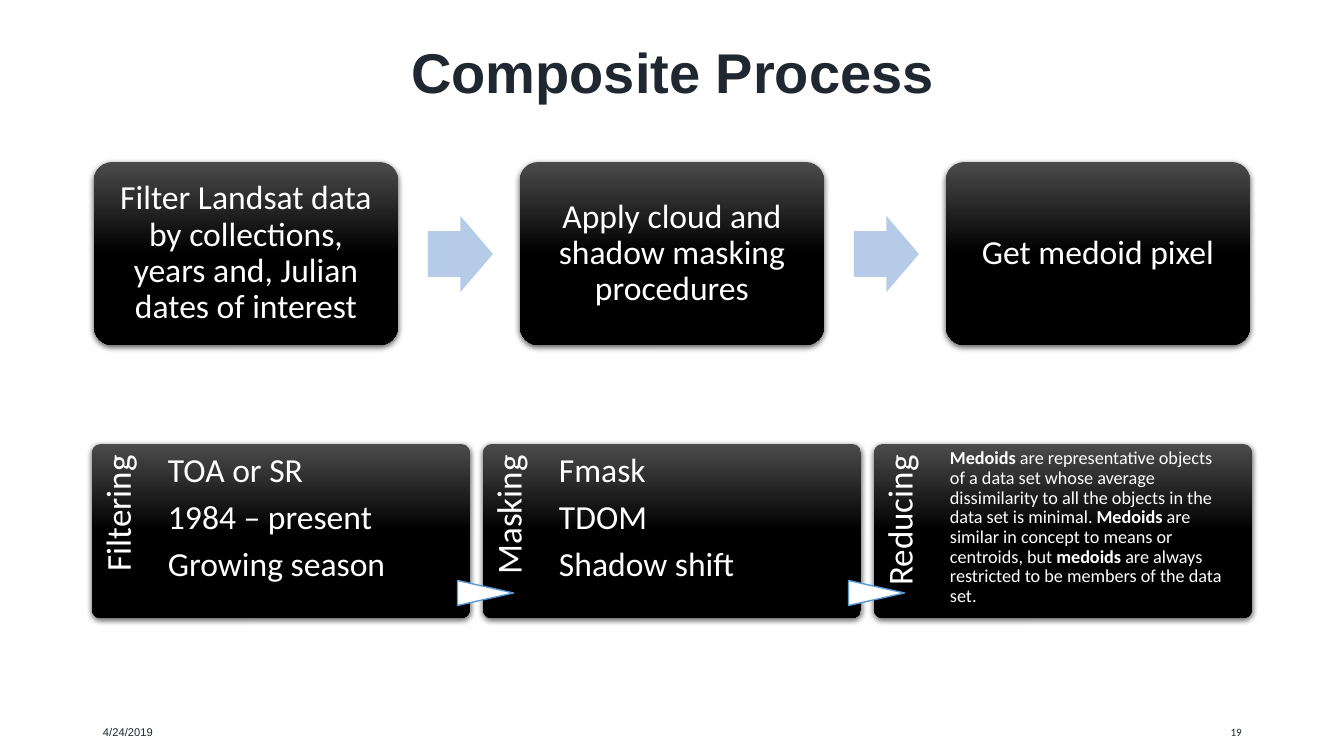
from lxml import etree
from pptx import Presentation
from pptx import util as u
from pptx.dml.color import RGBColor
from pptx.enum import shapes, text
from pptx.oxml.ns import qn

# Content
TITLE = "Composite Process"
DATE, PAGE = "4/24/2019", "19"
STEPS = [
    "Filter Landsat data by collections, years and, Julian dates of interest",
    "Apply cloud and shadow masking procedures",
    "Get medoid pixel",
]
# Each paragraph is a list of (text, bold) runs
MEDOIDS = [
    ("Medoids", True),
    (" are representative objects of a data set whose average dissimilarity "
     "to all the objects in the data set is minimal. ", False),
    ("Medoids", True),
    (" are similar in concept to means or centroids, but ", False),
    ("medoids", True),
    (" are always restricted to be members of the data set.", False),
]
# Label, text size, top inset in px, paragraphs
PANELS = [
    ("Filtering", 24, 9, [[("TOA or SR", False)], [("1984 – present", False)],
                          [("Growing season", False)]]),
    ("Masking", 24, 9, [[("Fmask", False)], [("TDOM", False)],
                        [("Shadow shift", False)]]),
    ("Reducing", 13, 5, [MEDOIDS]),
]

# Style
INK = RGBColor(0x1F, 0x27, 0x31)
WHITE = RGBColor(0xFF, 0xFF, 0xFF)
BLACK = RGBColor(0, 0, 0)
GREY = RGBColor(0x4B, 0x4B, 0x4B)
ARROW = RGBColor(0xB5, 0xCB, 0xE7)
EDGE = RGBColor(0x5B, 0x9B, 0xD5)
SHAPE = shapes.MSO_SHAPE
ALIGN = text.PP_ALIGN

# Layout in px
PX = 914400 / 100.8
SLIDE_W, SLIDE_H = 1344, 756
MARGIN, BODY_W = 93, 1159
CARD_X, CARD_Y, CARD_W, CARD_H, CARD_PITCH = 94, 162, 304, 183, 426
ARROW_W, ARROW_H, ARROW_DX = 65, 76, 334
PANEL_X, PANEL_Y, PANEL_W, PANEL_H, PANEL_PITCH = 92, 444, 378, 174, 391


def emu(*px):
    return [round(v * PX) for v in px]


def write(tf, paragraphs, size, color, font="Calibri", align=ALIGN.LEFT,
          insets=(10, 5, 10, 5), spacing=0.9, gap=8):
    tf.word_wrap = True
    tf.margin_left, tf.margin_top, tf.margin_right, tf.margin_bottom = emu(*insets)
    for i, runs in enumerate(paragraphs):
        p = tf.paragraphs[0] if i == 0 else tf.add_paragraph()
        p.alignment, p.line_spacing = align, spacing
        if i < len(paragraphs) - 1:
            p.space_after = u.Pt(gap)
        p.font.size, p.font.name, p.font.color.rgb = u.Pt(size), font, color
        for words, bold in runs:
            r = p.add_run()
            r.text, r.font.bold = words, bold


def add_text(box, paragraphs, size, color, **style):
    sp = slide.shapes.add_textbox(*emu(*box))
    write(sp.text_frame, paragraphs, size, color, **style)
    return sp


def add_shape(kind, box, fill=None, line=None):
    sp = slide.shapes.add_shape(kind, *emu(*box))
    sp.shadow.inherit = False
    if fill is not None:
        sp.fill.solid()
        sp.fill.fore_color.rgb = fill
    if line is None:
        sp.line.fill.background()
    else:
        sp.line.color.rgb, sp.line.width = line, u.Pt(1)
    return sp


def add_dark_block(box, corner):
    sp = add_shape(SHAPE.ROUNDED_RECTANGLE, box)
    sp.adjustments[0] = corner
    sp.fill.gradient()
    sp.fill.gradient_angle = 270
    for stop, place, color in zip(sp.fill.gradient_stops, (0, 0.5), (GREY, BLACK)):
        stop.position, stop.color.rgb = place, color
    # Soft shadow below the block
    effects = sp._element.spPr.find(qn("a:effectLst"))
    shadow = etree.SubElement(effects, qn("a:outerShdw"), blurRad="57150",
                              dist="19050", dir="5400000", algn="ctr", rotWithShape="0")
    tone = etree.SubElement(shadow, qn("a:srgbClr"), val="000000")
    etree.SubElement(tone, qn("a:alpha"), val="63000")
    return sp


prs = Presentation()
prs.slide_width, prs.slide_height = emu(SLIDE_W, SLIDE_H)
slide = prs.slides.add_slide(prs.slide_layouts[6])

# Title and footer
add_text((MARGIN, 40, BODY_W, 146), [[(TITLE, True)]], 40, INK,
         font="Arial", align=ALIGN.CENTER)
add_text((MARGIN, 720, 93, 24), [[(DATE, False)]], 8, INK, font="Arial", spacing=1.0)
add_text((MARGIN + BODY_W - 93, 720, 93, 24), [[(PAGE, False)]], 8, INK,
         align=ALIGN.RIGHT, spacing=1.0)

# Process steps
for i, step in enumerate(STEPS):
    x = CARD_X + i * CARD_PITCH
    card = add_dark_block((x, CARD_Y, CARD_W, CARD_H), 0.1)
    write(card.text_frame, [[(step, False)]], 24, WHITE, align=ALIGN.CENTER,
          insets=(10, 10, 10, 10))
    card.text_frame.vertical_anchor = text.MSO_ANCHOR.MIDDLE
    if i < len(STEPS) - 1:
        arrow_y = CARD_Y + (CARD_H - ARROW_H) // 2 + 1
        arrow = add_shape(SHAPE.RIGHT_ARROW,
                          (x + ARROW_DX, arrow_y, ARROW_W, ARROW_H), ARROW)
        arrow.adjustments[0], arrow.adjustments[1] = 0.6, 0.5

# Detail panels
for i, (label, size, inset, paragraphs) in enumerate(PANELS):
    x = PANEL_X + i * PANEL_PITCH
    add_dark_block((x, PANEL_Y, PANEL_W, PANEL_H), 0.05)
    name = add_text((x - 34, PANEL_Y + 33, 143, 76), [[(label, False)]], 25, WHITE,
                    align=ALIGN.RIGHT, insets=(0, 9, 12, 0))
    name.rotation = 270
    if i > 0:
        pointer = add_shape(SHAPE.FLOWCHART_EXTRACT,
                            (x - 10, PANEL_Y + 121, 25, 56), WHITE, EDGE)
        pointer.rotation = 90
    add_text((x + 76, PANEL_Y, 281, PANEL_H), paragraphs, size, WHITE,
             insets=(0, inset, 0, 0))

prs.save("out.pptx")
